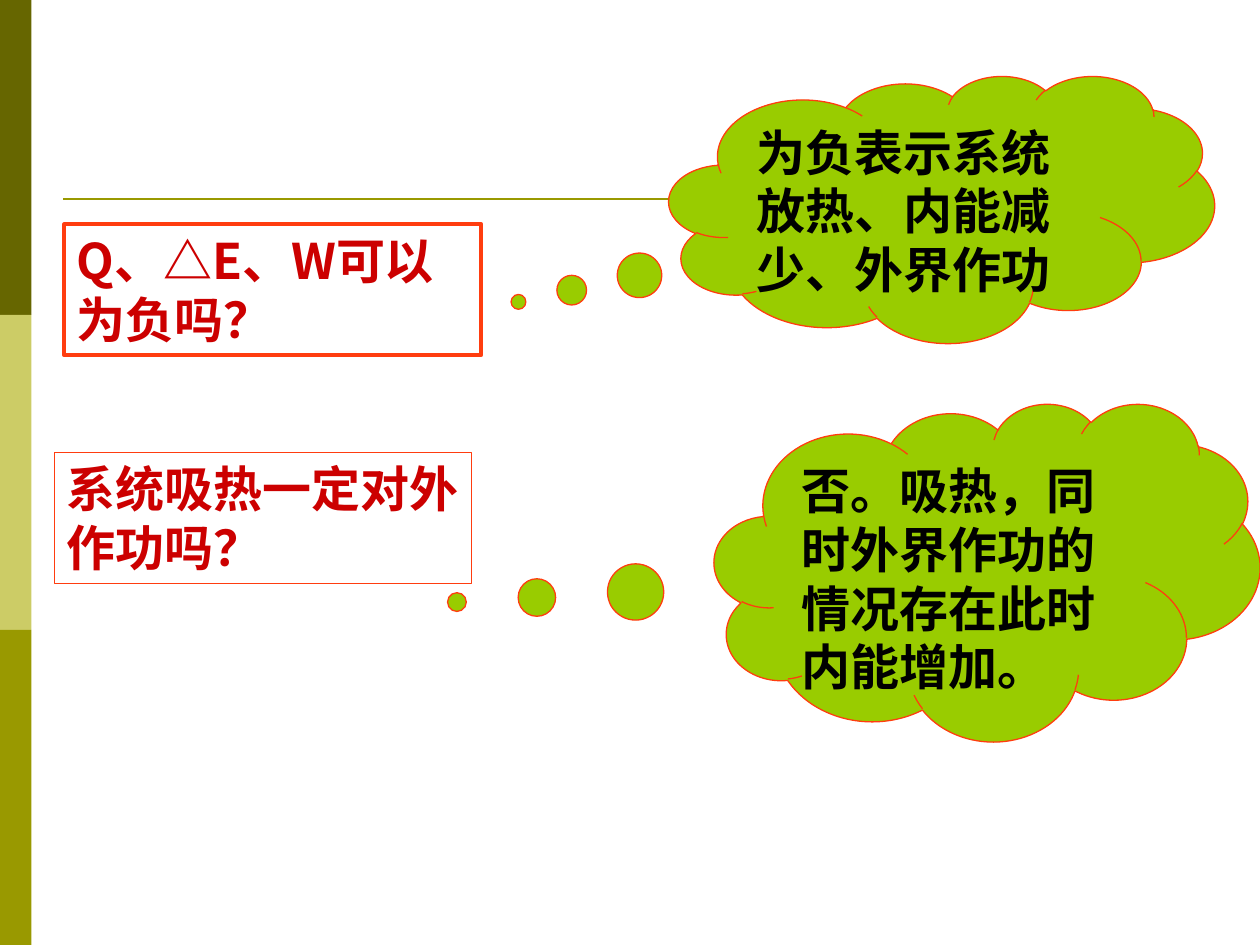
from dataclasses import dataclass

from lxml import etree
from pptx import Presentation
from pptx.dml.color import RGBColor
from pptx.enum.shapes import MSO_CONNECTOR as Link, MSO_SHAPE as Form
from pptx.enum.text import MSO_ANCHOR as Anchor, PP_ALIGN as Align
from pptx.oxml.ns import qn
from pptx.util import Inches, Pt


@dataclass(frozen=True)
class Theme:
    font: str = "Noto Sans CJK SC"
    size: float = 28
    ask: str = "CC0000"
    reply: str = "000000"
    cloud: str = "99CC00"
    edge: str = "FF3D0F"
    rule: str = "999900"
    bands: tuple = ("666600", "CCCC66", "999900")
    thin: float = 0.75
    mid: float = 1.5
    thick: float = 2.25


T = Theme()
WIDE, HIGH = 10, 7.5
BAR = WIDE / 40
RULE = (0.5, 1.58, 9.33)
BOX = (3.31, 1.04)
CLOUD = 4.33

# text, left, top, border width
ASKS = [
    ("Q、△E、W可以为负吗？", 0.51, 1.78, T.thick),
    ("系统吸热一定对外作功吗？", 0.43, 3.59, T.thin),
]
# text, left, top, height, tail offset as shares of the cloud
REPLIES = [
    ("为负表示系统放热、内能减少、外界作功", 5.31, 0.6, 2.12, (-0.776, 0.347)),
    ("否。吸热，同时外界作功的情况存在此时\n内能增加。", 5.67, 3.2, 2.68, (-0.972, 0.089)),
]


def rgb(code):
    return RGBColor.from_string(code)


def add(slide, form, place, fill=None, edge=None, width=T.thin):
    shape = slide.shapes.add_shape(form, *map(Inches, place))
    shape.shadow.inherit = False
    if fill:
        shape.fill.solid()
        shape.fill.fore_color.rgb = rgb(fill)
    else:
        shape.fill.background()
    if edge:
        shape.line.color.rgb = rgb(edge)
        shape.line.width = Pt(width)
    else:
        shape.line.fill.background()
    return shape


def write(shape, text, color):
    frame = shape.text_frame
    frame.word_wrap = True
    frame.vertical_anchor = Anchor.TOP
    frame.text = text
    for para in frame.paragraphs:
        para.alignment = Align.LEFT
        for run in para.runs:
            font = run.font
            font.name, font.size, font.bold = T.font, Pt(T.size), True
            font.color.rgb = rgb(color)
            east = etree.SubElement(run._r.get_or_add_rPr(), qn("a:ea"))
            east.set("typeface", T.font)


def draw_rule(slide):
    left, top, right = map(Inches, RULE)
    line = slide.shapes.add_connector(Link.STRAIGHT, left, top, right, top)
    line.line.color.rgb = rgb(T.rule)
    line.line.width = Pt(T.mid)
    etree.SubElement(line._element.spPr, qn("a:effectLst"))


def main():
    deck = Presentation()
    deck.slide_width, deck.slide_height = Inches(WIDE), Inches(HIGH)
    slide = deck.slides.add_slide(deck.slide_layouts[6])

    step = HIGH / len(T.bands)
    for row, color in enumerate(T.bands):
        add(slide, Form.RECTANGLE, (0, row * step, BAR, step), color)
    draw_rule(slide)

    for text, left, top, width in ASKS:
        box = add(slide, Form.RECTANGLE, (left, top, *BOX), edge=T.edge, width=width)
        write(box, text, T.ask)

    for text, left, top, height, tail in REPLIES:
        cloud = add(slide, Form.CLOUD_CALLOUT, (left, top, CLOUD, height), T.cloud, T.edge)
        cloud.adjustments[0], cloud.adjustments[1] = tail
        write(cloud, text, T.reply)

    deck.save("out.pptx")


if __name__ == "__main__":
    main()
